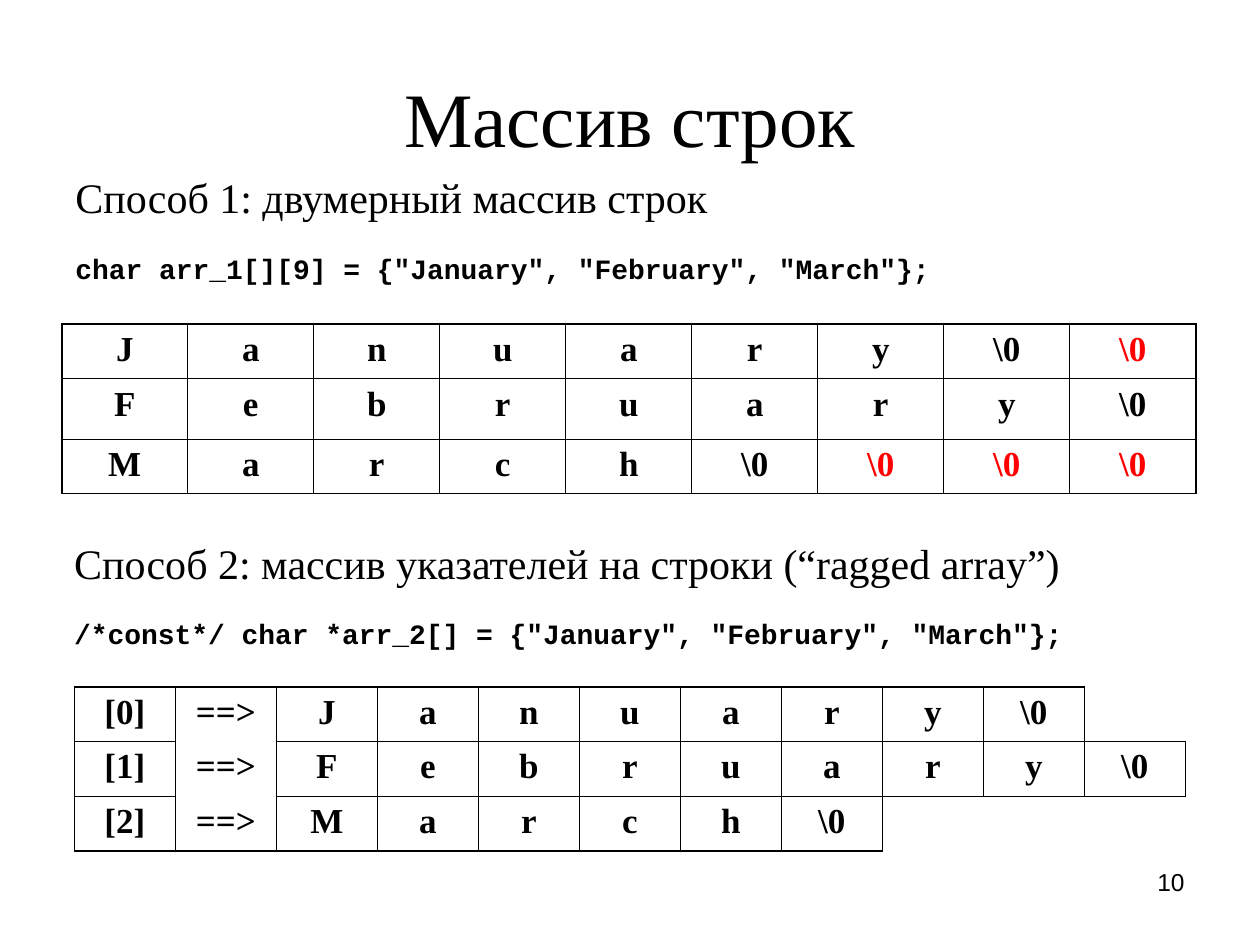
from lxml.etree import SubElement
from pptx import Presentation
from pptx.dml.color import RGBColor
from pptx.enum.text import MSO_ANCHOR as Anchor, PP_ALIGN as Align
from pptx.oxml.ns import qn
from pptx.util import Inches, Pt

SERIF, MONO, SANS = "Times New Roman", "Courier New", "Arial"
BLACK, RED = "000000", "FF0000"
OUTER, INNER = 1.08, 0.45
NUL, ARROW = "\\0", "==>"
WORDS = ["January", "February", "March"]
WIDTH = 9

TITLE = "Массив строк"
METHODS = [
    ((0.5, 1.31, 8.99, 1.06), 17, "Способ 1: двумерный массив строк",
     'char arr_1[][9] = {"January", "February", "March"};'),
    ((0.49, 4.22, 9, 1.18), 16, "Способ 2: массив указателей на строки (“ragged array”)",
     '/*const*/ char *arr_2[] = {"January", "February", "March"};'),
]
PAGE = "10"


def rgb(color):
    return RGBColor.from_string(color)


def add_run(p, text, size, font, color=BLACK, bold=False):
    r = p.add_run()
    r.text = text
    r.font.size = Pt(size)
    r.font.name = font
    r.font.bold = bold
    r.font.color.rgb = rgb(color)


def add_box(s, box, anchor=Anchor.TOP):
    tf = s.shapes.add_textbox(*map(Inches, box)).text_frame
    tf.word_wrap = True
    tf.vertical_anchor = anchor
    return tf


def add_line(s, box, text, size, font, align, anchor=Anchor.TOP):
    p = add_box(s, box, anchor).paragraphs[0]
    p.alignment = align
    add_run(p, text, size, font)


def add_method(s, box, gap, heading, code):
    tf = add_box(s, box)
    add_run(tf.paragraphs[0], heading, 24, SERIF)
    p = tf.add_paragraph()
    p.space_before = Pt(gap)
    add_run(p, code, 16, MONO, bold=True)


def kind(rows, i, j):
    if not (0 <= i < len(rows) and 0 <= j < len(rows[0])) or not rows[i][j]:
        return "empty"
    return "arrow" if rows[i][j] == ARROW else "box"


def set_borders(cell, rows, i, j):
    tcPr = cell._tc.get_or_add_tcPr()
    here = kind(rows, i, j)
    for tag, di, dj in (("a:lnL", 0, -1), ("a:lnR", 0, 1), ("a:lnT", -1, 0), ("a:lnB", 1, 0)):
        ni, nj = i + di, j + dj
        there = kind(rows, ni, nj)
        inside = 0 <= ni < len(rows) and 0 <= nj < len(rows[0])
        ln = SubElement(tcPr, qn(tag), w=str(Pt(INNER if inside else OUTER)))
        if here == there != "box":
            SubElement(ln, qn("a:noFill"))
        else:
            fill = SubElement(ln, qn("a:solidFill"))
            SubElement(fill, qn("a:srgbClr"), val=BLACK)


def add_grid(s, box, heights, rows, padding):
    table = s.shapes.add_table(len(rows), len(rows[0]), *map(Inches, box)).table
    table.first_row = table.horz_banding = False
    for i, (row, height) in enumerate(zip(rows, heights)):
        table.rows[i].height = Inches(height)
        for j, text in enumerate(row):
            cell = table.cell(i, j)
            set_borders(cell, rows, i, j)
            cell.fill.background()
            if text:
                p = cell.text_frame.paragraphs[0]
                p.alignment = Align.CENTER
                add_run(p, text, 20, SERIF, RED if (i, j) in padding else BLACK, True)


padded = [list(w) + [NUL] * (WIDTH - len(w)) for w in WORDS]
padding = {(i, j) for i, w in enumerate(WORDS) for j in range(len(w) + 1, WIDTH)}
ragged = [[f"[{i}]", ARROW, *w, NUL] + [""] * (WIDTH - len(w) - 1) for i, w in enumerate(WORDS)]

prs = Presentation()
prs.slide_width, prs.slide_height = Inches(10), Inches(7.5)
s = prs.slides.add_slide(prs.slide_layouts[6])

add_line(s, (0.5, 0.3, 9, 1.25), TITLE, 44, SERIF, Align.CENTER, Anchor.MIDDLE)
for method in METHODS:
    add_method(s, *method)
add_grid(s, (0.49, 2.57, 9, 1.34), (0.43, 0.48, 0.43), padded, padding)
add_grid(s, (0.59, 5.45, 8.82, 1.3), (0.43, 0.43, 0.43), ragged, set())
add_line(s, (7.17, 6.83, 2.33, 0.52), PAGE, 14, SANS, Align.RIGHT)

prs.save("out.pptx")
